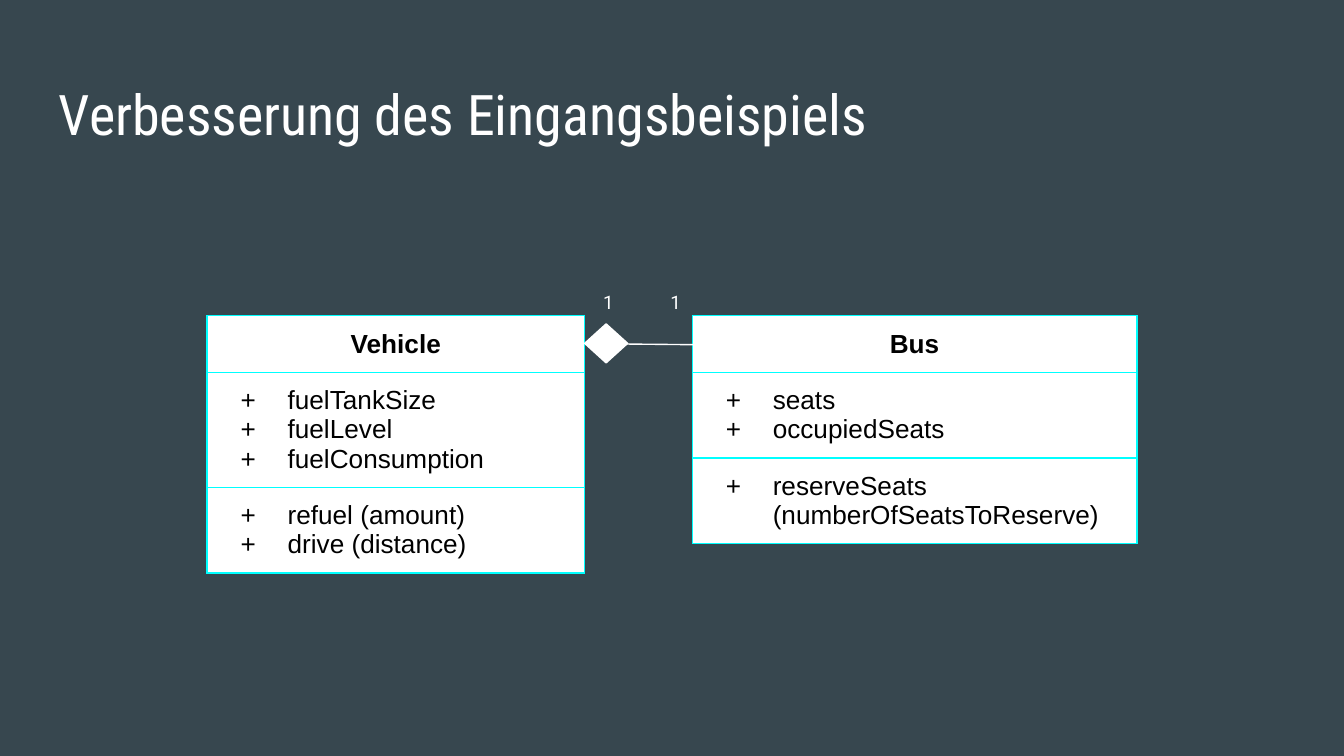
from lxml import etree
from pptx import Presentation
from pptx.dml.color import RGBColor
from pptx.enum.shapes import MSO_CONNECTOR, MSO_SHAPE
from pptx.enum.text import MSO_ANCHOR, MSO_AUTO_SIZE, PP_ALIGN
from pptx.oxml.ns import qn
from pptx.util import Inches, Pt

STRAIGHT = MSO_CONNECTOR.STRAIGHT
DIAMOND = MSO_SHAPE.DIAMOND
TOP = MSO_ANCHOR.TOP
FIT_SHAPE = MSO_AUTO_SIZE.SHAPE_TO_FIT_TEXT
CENTER, LEFT = PP_ALIGN.CENTER, PP_ALIGN.LEFT

THEME = {
    "background": RGBColor.from_string("37474F"),
    "white": RGBColor.from_string("FFFFFF"),
    "black": RGBColor.from_string("000000"),
    "border": "00FFFF",
    "bullet": "000000",
    "line": Pt(0.75),
    "title": ("Roboto Condensed", Pt(30)),
    "class": ("Arial", Pt(14)),
    "multiplicity": ("Roboto", Pt(10)),
}
INSET = Inches(0.1)
ROW_HEIGHT = 0.42
TABLE_TOP = 2.35


def add_run(paragraph, text, style, color, bold=False):
    """Add one formatted run to a paragraph."""
    run = paragraph.add_run()
    run.text = text
    run.font.name, run.font.size = THEME[style]
    run.font.color.rgb = THEME[color]
    run.font.bold = bold


def add_colored(parent, tag, color, **attributes):
    """Append an XML element that holds a solid fill."""
    element = etree.SubElement(parent, qn(tag), **attributes)
    fill = etree.SubElement(element, qn("a:solidFill"))
    etree.SubElement(fill, qn("a:srgbClr"), val=color)


presentation = Presentation()
presentation.slide_width = Inches(10)
presentation.slide_height = Inches(10 * 9 / 16)
slide = presentation.slides.add_slide(presentation.slide_layouts[6])
slide.background.fill.solid()
slide.background.fill.fore_color.rgb = THEME["background"]

# Class diagrams: name, attributes, methods
classes = [
    (1.54, 2.81, [["Vehicle"],
                  ["fuelTankSize", "fuelLevel", "fuelConsumption"],
                  ["refuel (amount)", "drive (distance)"]]),
    (5.15, 3.31, [["Bus"],
                  ["seats", "occupiedSeats"],
                  ["reserveSeats (numberOfSeatsToReserve)"]]),
]
for left, width, sections in classes:
    table = slide.shapes.add_table(
        len(sections), 1, Inches(left), Inches(TABLE_TOP),
        Inches(width), Inches(ROW_HEIGHT * len(sections))).table
    for row, members in enumerate(sections):
        is_header = row == 0
        cell = table.cell(row, 0)
        cell.margin_left = cell.margin_right = INSET
        cell.margin_top = cell.margin_bottom = INSET
        cell_properties = cell._tc.get_or_add_tcPr()
        for side in ("a:lnL", "a:lnR", "a:lnT", "a:lnB"):
            add_colored(cell_properties, side, THEME["border"], w=str(THEME["line"]))
        cell.fill.solid()
        cell.fill.fore_color.rgb = THEME["white"]
        for index, member in enumerate(members):
            frame = cell.text_frame
            paragraph = frame.add_paragraph() if index else frame.paragraphs[0]
            paragraph.alignment = CENTER if is_header else LEFT
            add_run(paragraph, member, "class", "black", bold=is_header)
            if not is_header:
                properties = paragraph._p.get_or_add_pPr()
                properties.set("marL", str(Inches(0.5)))
                properties.set("indent", str(Inches(-0.35)))
                bullet_color = etree.SubElement(properties, qn("a:buClr"))
                etree.SubElement(bullet_color, qn("a:srgbClr"), val=THEME["bullet"])
                etree.SubElement(properties, qn("a:buFont"), typeface="Arial")
                etree.SubElement(properties, qn("a:buChar"), char="+")

# Composition between the classes
association = slide.shapes.add_connector(
    STRAIGHT, Inches(4.66), Inches(2.56), Inches(5.66), Inches(2.57))
association.line.color.rgb = THEME["white"]
association.line.width = THEME["line"]
etree.SubElement(association._element.spPr, qn("a:effectLst"))

diamond = slide.shapes.add_shape(
    DIAMOND, Inches(4.35), Inches(2.41), Inches(0.32), Inches(0.29))
diamond.shadow.inherit = False
diamond.fill.solid()
diamond.fill.fore_color.rgb = THEME["white"]
diamond.line.color.rgb = THEME["white"]
diamond.line.width = THEME["line"]

# Title and multiplicities
labels = [
    ("Verbesserung des Eingangsbeispiels", "title", 0.34, 0.49, 9.32, 0.63),
    ("1", "multiplicity", 4.39, 2.08, 0.23, 0.33),
    ("1", "multiplicity", 4.89, 2.08, 0.23, 0.33),
]
for text, style, left, top, width, height in labels:
    label = slide.shapes.add_textbox(
        Inches(left), Inches(top), Inches(width), Inches(height))
    frame = label.text_frame
    frame.word_wrap = True
    frame.auto_size = FIT_SHAPE
    frame.vertical_anchor = TOP
    frame.margin_left = frame.margin_right = INSET
    frame.margin_top = frame.margin_bottom = INSET
    add_run(frame.paragraphs[0], text, style, "white")

presentation.save("out.pptx")
